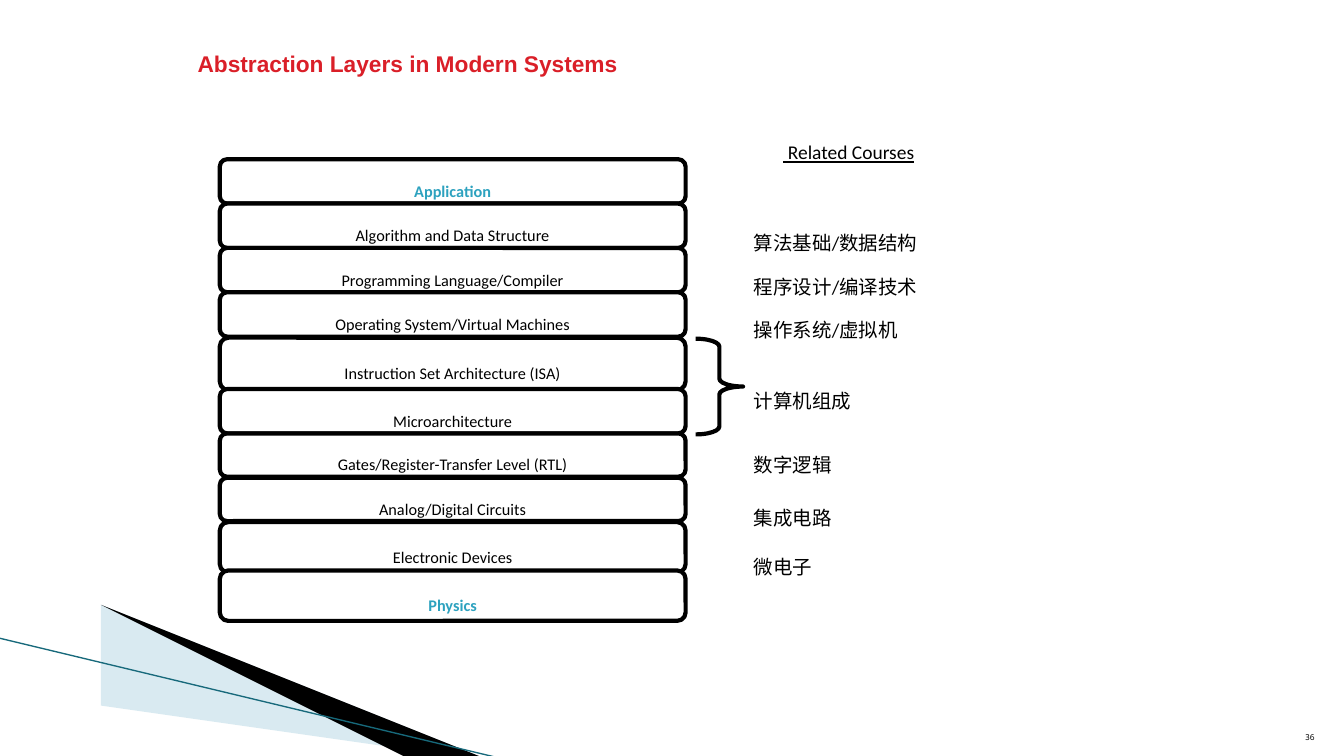
from lxml import etree
from pptx import Presentation
from pptx.dml.color import RGBColor
from pptx.enum.shapes import MSO_CONNECTOR, MSO_SHAPE
from pptx.enum.text import MSO_ANCHOR, MSO_AUTO_SIZE, PP_ALIGN
from pptx.oxml.ns import qn
from pptx.util import Inches, Pt

LEFT, CENTER, RIGHT = PP_ALIGN.LEFT, PP_ALIGN.CENTER, PP_ALIGN.RIGHT
TOP, MIDDLE, BOTTOM = MSO_ANCHOR.TOP, MSO_ANCHOR.MIDDLE, MSO_ANCHOR.BOTTOM
ROUND_RECT, BRACE = MSO_SHAPE.ROUNDED_RECTANGLE, MSO_SHAPE.RIGHT_BRACE
STRAIGHT = MSO_CONNECTOR.STRAIGHT
NO_FIT = MSO_AUTO_SIZE.NONE

COLORS = {"black": "000000", "white": "FFFFFF", "red": "DA1F28",
          "teal": "2DA2BF", "pale": "A0CBDC", "edge": "17697B"}

# Layer name, top, height
LAYERS = [
    ("Application", 1.58, 0.44),
    ("Algorithm and Data Structure", 2.02, 0.44),
    ("Programming Language/Compiler", 2.46, 0.44),
    ("Operating System/Virtual Machines", 2.9, 0.44),
    ("Instruction Set Architecture (ISA)", 3.35, 0.52),
    ("Microarchitecture", 3.86, 0.44),
    ("Gates/Register-Transfer Level (RTL)", 4.3, 0.43),
    ("Analog/Digital Circuits", 4.74, 0.43),
    ("Electronic Devices", 5.18, 0.5),
    ("Physics", 5.66, 0.5),
]
# Course, top, width
COURSES = [
    ("算法基础/数据结构", 2.02, 3),
    ("程序设计/编译技术", 2.46, 3),
    ("操作系统/虚拟机", 2.88, 2.66),
    ("计算机组成", 3.59, 1.87),
    ("数字逻辑", 4.22, 1.53),
    ("集成电路", 4.75, 1.53),
    ("微电子", 5.23, 1.2),
]


def rgb(name):
    return RGBColor.from_string(COLORS[name])


def write(tf, text, size=24, font="Calibri", color="black", bold=False,
          underline=False, align=LEFT, anchor=TOP, wrap=True):
    """Fill a text frame with one lowered (subscript) run."""
    tf.auto_size = NO_FIT
    tf.word_wrap = wrap
    tf.vertical_anchor = anchor
    p = tf.paragraphs[0]
    p.alignment = align
    r = p.add_run()
    r.text = text
    r.font.size = Pt(size)
    r.font.name = font
    r.font.bold = bold
    r.font.underline = underline
    r.font.color.rgb = rgb(color)
    r.font._element.set("baseline", "-25000")


class Deck:
    def __init__(self, s, line_width=3):
        self.s = s
        self.line_width = line_width

    def title(self, text, x, y, w, h):
        sp = self.s.shapes.title
        sp.left, sp.top, sp.width, sp.height = map(Inches, (x, y, w, h))
        write(sp.text_frame, text, size=28, font="Arial", color="red",
              bold=True, anchor=MIDDLE)

    def label(self, text, x, y, w, h, **fmt):
        sp = self.s.shapes.add_textbox(*map(Inches, (x, y, w, h)))
        write(sp.text_frame, text, **fmt)

    def outline(self, kind, x, y, w, h):
        sp = self.s.shapes.add_shape(kind, *map(Inches, (x, y, w, h)))
        sp.shadow.inherit = False
        sp.adjustments[0] = 0.167
        sp.line.color.rgb = rgb("black")
        sp.line.width = Pt(self.line_width)
        sp.fill.background()
        return sp

    def layer(self, text, x, y, w, h, **fmt):
        sp = self.outline(ROUND_RECT, x, y, w, h)
        sp.fill.solid()
        sp.fill.fore_color.rgb = rgb("white")
        write(sp.text_frame, text, size=20, align=CENTER, anchor=MIDDLE,
              wrap=False, **fmt)

    def wedge(self, points, color, alpha=100):
        fb = self.s.shapes.build_freeform(*points[0], scale=Inches(1))
        fb.add_line_segments(points[1:], close=True)
        sp = fb.convert_to_shape()
        sp.shadow.inherit = False
        sp.line.fill.background()
        sp.fill.solid()
        sp.fill.fore_color.rgb = rgb(color)
        if alpha < 100:
            clr = sp._element.spPr.find(".//" + qn("a:srgbClr"))
            etree.SubElement(clr, qn("a:alpha")).set("val", str(alpha * 1000))

    def line(self, x1, y1, x2, y2, color, width):
        cn = self.s.shapes.add_connector(STRAIGHT, *map(Inches, (x1, y1, x2, y2)))
        cn.line.color.rgb = rgb(color)
        cn.line.width = Pt(width)
        etree.SubElement(cn._element.spPr, qn("a:effectLst"))


def main():
    prs = Presentation()
    prs.slide_width, prs.slide_height = Inches(13.33), Inches(7.5)
    deck = Deck(prs.slides.add_slide(prs.slide_layouts[5]))

    # Corner decoration
    deck.wedge([(0.73, 6.51), (7.93, 7.51), (6.08, 7.51), (0.73, 6.5)],
               "pale", alpha=40)
    deck.wedge([(0.71, 6.49), (6.09, 7.51), (4.96, 7.52), (0.72, 6.5)], "black")
    deck.line(-0.01, 6.33, 4.95, 7.52, "edge", 0.95)

    # Stack of layers, with both ends highlighted
    ends = (LAYERS[0], LAYERS[-1])
    for layer in LAYERS:
        text, y, h = layer
        is_end = layer in ends
        deck.layer(text, 2.18, y, 4.62, h, bold=is_end,
                   color="teal" if is_end else "black")

    # Related courses
    deck.label(" Related Courses", 7.1, 1.12, 2.64, 0.5, underline=True,
               align=CENTER)
    for text, y, w in COURSES:
        deck.label(text, 7.38, y, w, 0.5, wrap=False)
    deck.outline(BRACE, 6.9, 3.36, 0.47, 0.95)

    # Title and page number
    deck.title("Abstraction Layers in Modern Systems", 1.86, 0.08, 9.67, 0.84)
    deck.label("36", 12.61, 7.01, 0.53, 0.4, size=10, font="Noto Sans Mono",
               align=RIGHT, anchor=BOTTOM)

    prs.save("out.pptx")


if __name__ == "__main__":
    main()
